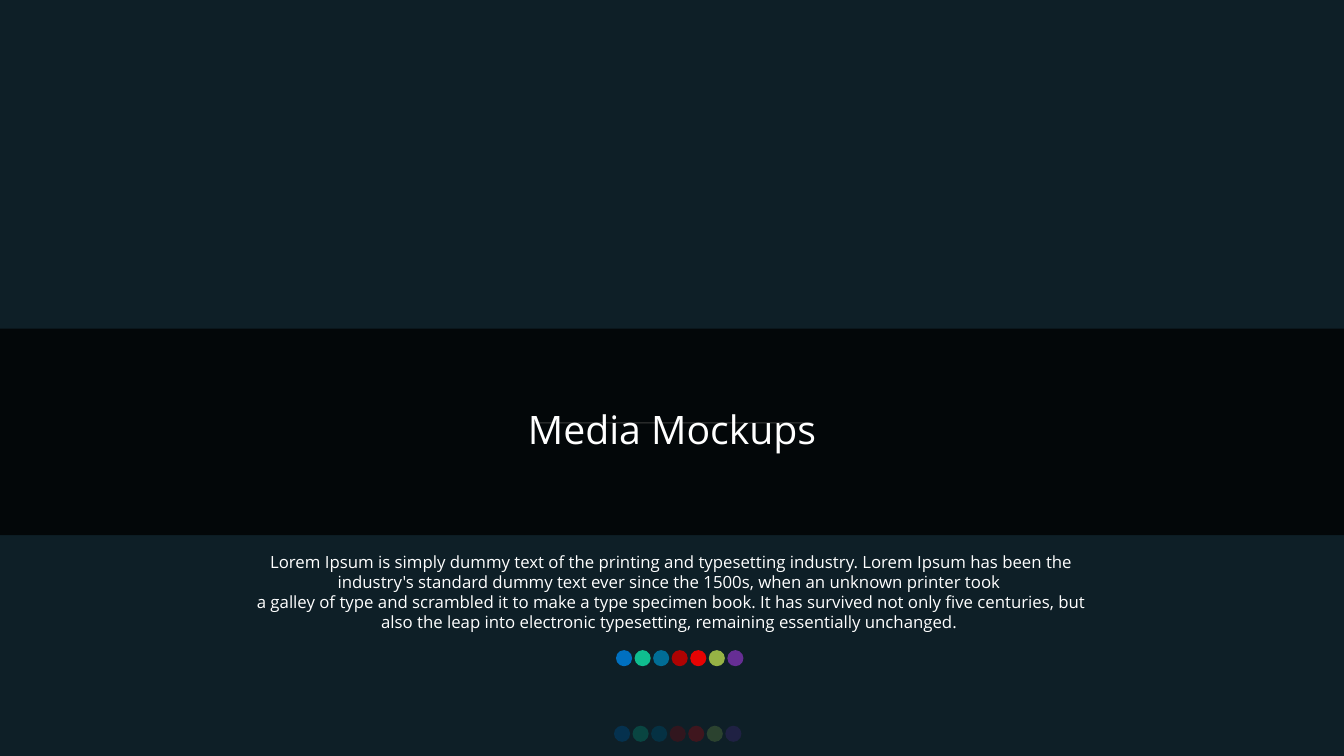
import pptx
import pptx.dml.color
import pptx.enum.shapes
import pptx.enum.text
import pptx.oxml
import pptx.oxml.ns
import pptx.util

WIDTH, HEIGHT = 13.33, 7.5
FONT = "Open Sans"
COLORS = {
    "background": "262626",
    "tint": "071D28",
    "band": "000000",
    "rule": "F2F2F2",
    "text": "FFFFFF",
}
PALETTE = {
    "blue": "0070C0",
    "green": "10CF9B",
    "teal": "0076A3",
    "crimson": "C00000",
    "red": "FF0000",
    "lime": "A5C249",
    "purple": "7030A0",
}
DOT_SIZE, DOT_PITCH = 0.16, 0.184
BODY = (
    "Lorem Ipsum is simply dummy text of the printing and typesetting industry. "
    "Lorem Ipsum has been the industry's standard dummy text ever since the 1500s, "
    "when an unknown printer took \n"
    "a galley of type and scrambled it to make a type specimen book. "
    "It has survived not only five centuries, but also the leap into electronic "
    "typesetting, remaining essentially unchanged. "
)


def rgb(color):
    return pptx.dml.color.RGBColor.from_string(color)


def box(left, top, width, height):
    return [pptx.util.Inches(length) for length in (left, top, width, height)]


def add_filled(slide, preset, bounds, color, opacity=100):
    """Add a borderless shape; opacity is a percentage."""
    shape = slide.shapes.add_shape(preset, *box(*bounds))
    shape.shadow.inherit = False
    shape.line.fill.background()
    shape.fill.solid()
    shape.fill.fore_color.rgb = rgb(color)
    if opacity < 100:
        solid = shape.fill._xPr.find(pptx.oxml.ns.qn("a:solidFill"))
        alpha = pptx.oxml.parse_xml(
            f'<a:alpha {pptx.oxml.ns.nsdecls("a")} val="{opacity * 1000}"/>'
        )
        solid[0].append(alpha)


def add_full_width(slide, top, height, color):
    add_filled(slide, pptx.enum.shapes.MSO_SHAPE.RECTANGLE,
               (-0.02, top, WIDTH + 0.02, height), color, 75)


def add_palette_dots(slide, left, top):
    for index, (name, color) in enumerate(PALETTE.items()):
        bounds = (left + index * DOT_PITCH, top, DOT_SIZE, DOT_SIZE)
        add_filled(slide, pptx.enum.shapes.MSO_SHAPE.OVAL, bounds, color,
                   100 if name == "blue" else 90)


def write_centred(frame, text, size):
    frame.word_wrap = True
    frame.auto_size = pptx.enum.text.MSO_AUTO_SIZE.SHAPE_TO_FIT_TEXT
    paragraph = frame.paragraphs[0]
    paragraph.text = text
    paragraph.alignment = pptx.enum.text.PP_ALIGN.CENTER
    for run in paragraph.runs:
        run.font.size = pptx.util.Pt(size)
        run.font.name = FONT
        run.font.color.rgb = rgb(COLORS["text"])
    return paragraph


def add_body(slide):
    frame = slide.shapes.add_textbox(*box(2.33, 5.41, 0.65 * WIDTH, 0.94)).text_frame
    frame.margin_left = frame.margin_right = pptx.util.Inches(0.13)
    frame.margin_top = frame.margin_bottom = pptx.util.Inches(0.06)
    write_centred(frame, BODY, 12)


def place_title(slide, text):
    """Fill the title placeholder and bring it in front of the band."""
    title = slide.shapes.title
    title.left, title.top, title.width, title.height = box(2.42, 4.02, 8.49, 0.53)
    title.text_frame.vertical_anchor = pptx.enum.text.MSO_ANCHOR.MIDDLE
    paragraph = write_centred(title.text_frame, text, 28)
    paragraph.line_spacing = 0.9
    paragraph.space_before = pptx.util.Pt(10)
    slide.shapes._spTree.append(title._element)


def main():
    deck = pptx.Presentation()
    deck.slide_width = pptx.util.Inches(WIDTH)
    deck.slide_height = pptx.util.Inches(HEIGHT)
    slide = deck.slides.add_slide(deck.slide_layouts[5])
    slide.background.fill.solid()
    slide.background.fill.fore_color.rgb = rgb(COLORS["background"])

    add_palette_dots(slide, 6.09, 0.96 * HEIGHT)
    add_full_width(slide, 0, HEIGHT, COLORS["tint"])
    add_filled(slide, pptx.enum.shapes.MSO_SHAPE.RECTANGLE,
               (5.29, 4.19, 2.76, 0.01), COLORS["rule"])
    add_body(slide)
    add_full_width(slide, 3.26, 2.05, COLORS["band"])
    place_title(slide, "Media Mockups")
    add_palette_dots(slide, 6.11, 0.86 * HEIGHT)
    deck.save("out.pptx")


if __name__ == "__main__":
    main()
